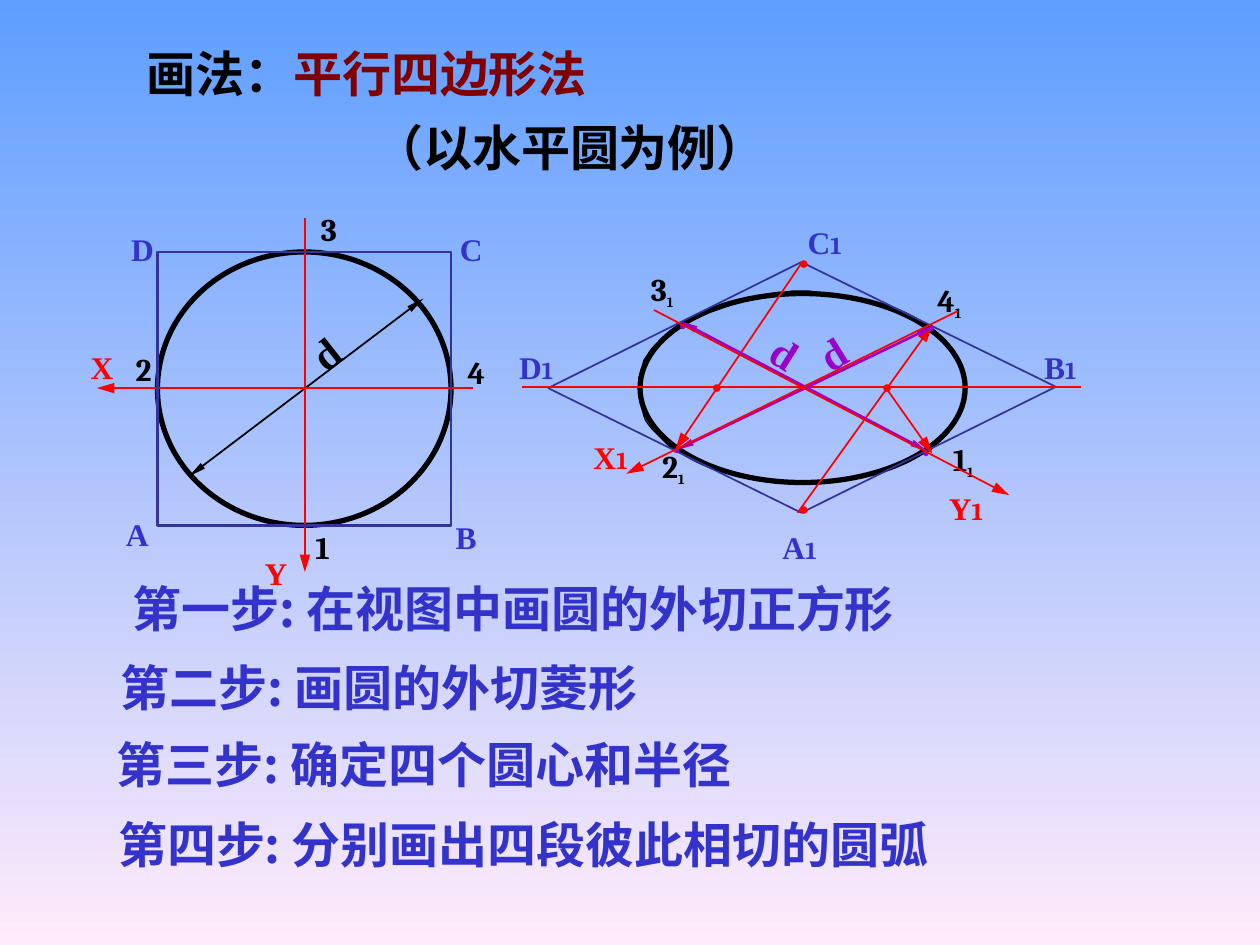
from lxml import etree
from pptx import Presentation
from pptx.dml.color import RGBColor
from pptx.enum.shapes import MSO_CONNECTOR, MSO_SHAPE
from pptx.enum.text import MSO_ANCHOR, MSO_AUTO_SIZE, PP_ALIGN
from pptx.oxml.ns import qn
from pptx.util import Pt

PX = 9144
STRAIGHT = MSO_CONNECTOR.STRAIGHT
OVAL, SQUARE = MSO_SHAPE.OVAL, MSO_SHAPE.RECTANGLE
TOP, MIDDLE = MSO_ANCHOR.TOP, MSO_ANCHOR.MIDDLE
LEFT, CENTER = PP_ALIGN.LEFT, PP_ALIGN.CENTER
GROW, FIXED = MSO_AUTO_SIZE.SHAPE_TO_FIT_TEXT, MSO_AUTO_SIZE.NONE

SKY = RGBColor(0x5E, 0x9E, 0xFF)
PINK = RGBColor(0xFF, 0xEB, 0xFA)
BLACK = RGBColor(0, 0, 0)
MAROON = RGBColor(0x80, 0, 0)
RED = RGBColor(0xFF, 0, 0)
PURPLE = RGBColor(0x99, 0, 0xCC)
NAVY = RGBColor(0x33, 0x33, 0x99)
BLUE = RGBColor(0x33, 0x33, 0xCC)
TIMES, CAMBRIA, CJK = "Times New Roman", "Cambria", "Noto Sans CJK SC"


def curve_points(start, segments, steps=8):
    """Return points along a chain of cubic Bézier segments."""
    points = [start]
    for a, b, end in segments:
        first = points[-1]
        for i in range(1, steps + 1):
            t = i / steps
            weights = ((1 - t) ** 3, 3 * t * (1 - t) ** 2, 3 * t * t * (1 - t), t ** 3)
            points.append(tuple(sum(w * p[axis] for w, p in zip(weights, (first, a, b, end)))
                                for axis in (0, 1)))
    return points


class Drawing:
    """Draws the styled elements of one slide, with 100 px to the inch."""

    def __init__(self, slide):
        self.slide = slide
        self.shapes = slide.shapes

    def background(self, top, bottom):
        fill = self.slide.background.fill
        fill.gradient()
        fill.gradient_angle = 270
        for stop, color, position in zip(fill.gradient_stops, (top, bottom), (0, 1)):
            stop.color.rgb = color
            stop.position = position

    def outline(self, shape, color, width):
        shape.shadow.inherit = False
        shape.fill.background()
        shape.line.color.rgb = color
        shape.line.width = Pt(width)

    def figure(self, preset, box, color, width):
        self.outline(self.shapes.add_shape(preset, *(n * PX for n in box)), color, width)

    def curve(self, start, segments, color, width):
        first, *rest = curve_points(start, segments)
        builder = self.shapes.build_freeform(*first, scale=PX)
        builder.add_line_segments(rest, close=False)
        self.outline(builder.convert_to_shape(), color, width)

    def line(self, start, end, color, width=1, ends=(), head_width="med"):
        line = self.shapes.add_connector(STRAIGHT, *(n * PX for n in start + end))
        line.line.color.rgb = color
        line.line.width = Pt(width)
        for tag in ends:
            etree.SubElement(line.line._get_or_add_ln(), qn(f"a:{tag}"),
                             type="triangle", w=head_width, len="lg")
        etree.SubElement(line._element.spPr, qn("a:effectLst"))

    def text(self, box, runs, align=CENTER, anchor=MIDDLE, wrap=False, size=GROW, rotation=0):
        label = self.shapes.add_textbox(*(n * PX for n in box))
        label.rotation = rotation
        frame = label.text_frame
        frame.word_wrap = wrap
        frame.auto_size = size
        frame.vertical_anchor = anchor
        paragraph = frame.paragraphs[0]
        paragraph.alignment = align
        for words, points, font, color, bold, baseline in runs:
            run = paragraph.add_run()
            run.text = words
            run.font.size = Pt(points)
            run.font.name = font
            run.font.bold = bold
            run.font.color.rgb = color
            properties = run._r.get_or_add_rPr()
            if baseline:
                properties.set("baseline", str(baseline))
            if points == 28:
                etree.SubElement(properties, qn("a:ea"), typeface=CJK)

    def heading(self, box, parts, font=TIMES, **options):
        self.text(box, [(words, 28, font, color, True, 0) for words, color in parts],
                  wrap=True, **options)

    def dot(self, box, points, color, bold=False):
        self.text(box, [("●", points, TIMES, color, bold, 0)])

    def diameter(self, box, color, rotation):
        self.text(box, [("d", 24, TIMES, color, True, 0)], rotation=rotation)

    def tangent_point(self, box, number, index=""):
        runs = [(number, 18, CAMBRIA, BLACK, True, 0)]
        if index:
            runs.append((index, 14, CAMBRIA, BLACK, True, -25000))
        self.text(box, runs)

    def letter(self, left, top, name, color, index="", width=38):
        runs = [(name, 18, TIMES, color, True, 0)]
        if index:
            runs.append((index, 14, CAMBRIA, color, True, 0))
            width = 49
        self.text((left, top, width, 40), runs, anchor=TOP)


def main():
    prs = Presentation()
    prs.slide_width, prs.slide_height = 1000 * PX, 750 * PX
    drawing = Drawing(prs.slides.add_slide(prs.slide_layouts[6]))
    drawing.background(SKY, PINK)

    drawing.figure(OVAL, (508, 233, 258, 150), BLACK, 3)
    arcs = [
        ((540, 257), [((548, 254), (574, 243), (590, 239)), ((606, 234), (618, 231), (635, 231)),
                      ((652, 231), (674, 236), (691, 240)), ((708, 245), (727, 255), (736, 258))]),
        ((536, 358), [((543, 361), (563, 371), (578, 375)), ((594, 379), (609, 382), (628, 382)),
                      ((646, 383), (671, 381), (689, 377)), ((707, 373), (727, 362), (737, 358))]),
        ((737, 358), [((741, 355), (753, 344), (757, 336)), ((762, 327), (765, 315), (765, 306)),
                      ((765, 297), (762, 290), (757, 282)), ((753, 274), (741, 264), (737, 260))]),
        ((536, 358), [((532, 354), (517, 342), (512, 333)), ((508, 324), (507, 313), (507, 304)),
                      ((508, 294), (511, 285), (517, 277)), ((523, 269), (537, 261), (542, 257))]),
    ]
    for start, segments in arcs:
        drawing.curve(start, segments, BLACK, 0.75)

    rhombus = [(838, 307), (636, 208), (435, 308), (636, 407)]
    for start, end in zip(rhombus, rhombus[1:] + rhombus[:1]):
        drawing.line(start, end, NAVY)
    drawing.line((414, 307), (858, 307), RED)
    for start, end in [((633, 407), (740, 258)), ((636, 209), (536, 357)), ((704, 309), (740, 360))]:
        drawing.line(start, end, RED, ends=["tailEnd"])

    for left, top, step in [(86, 517, "第二步: 画圆的外切菱形"),
                            (83, 578, "第三步: 确定四个圆心和半径"),
                            (84, 641, "第四步: 分别画出四段彼此相切的圆弧")]:
        drawing.heading((left, top, 800, 57), [(step, BLUE)], CJK, align=LEFT)

    for left, top in [(617, 390), (548, 293), (617, 195), (683, 293)]:
        drawing.dot((left, top, 42, 27), 10, RED)
    for left, top, number in [(97, 273, "2"), (361, 275, "4"), (244, 162, "3"), (239, 414, "1")]:
        drawing.tangent_point((left, top, 34, 40), number)

    both = ["headEnd", "tailEnd"]
    drawing.line((150, 378), (336, 237), BLACK, 1, both, "sm")
    drawing.diameter((239, 255, 38, 50), BLACK, 321.8)
    drawing.line((537, 357), (741, 259), PURPLE, 1.5, both, "sm")
    drawing.diameter((641, 255, 39, 50), PURPLE, 328.3)
    drawing.line((540, 255), (736, 358), PURPLE, 1.5, both, "sm")
    drawing.diameter((604, 255, 38, 50), PURPLE, 32.2)

    for left, top, number in [(744, 344, "1"), (505, 209, "3"), (733, 218, "4"), (514, 350, "2")]:
        drawing.tangent_point((left, top, 41, 42), number, "1")
    for left, top in [(529, 247), (722, 348), (524, 346), (726, 249)]:
        drawing.dot((left, top, 26, 22), 7, PURPLE, True)

    drawing.heading((35, 23, 512, 69), [("画法：", BLACK), ("平行四边形法", MAROON)], size=FIXED)
    drawing.heading((24, 454, 767, 57), [("第一步: 在视图中画圆的外切正方形", BLUE)], CJK, anchor=TOP)
    drawing.figure(OVAL, (125, 200, 233, 217), BLACK, 3)
    drawing.heading((271, 88, 363, 57), [("（以水平圆为例）", BLACK)])

    axes = [((375, 308), (77, 308), (62, 271), "X", ""),
            ((242, 173), (242, 454), (200, 435), "Y", ""),
            ((519, 246), (801, 393), (742, 383), "Y", "1"),
            ((760, 247), (497, 376), (460, 343), "X", "1")]
    for start, end, (left, top), name, index in axes:
        drawing.line(start, end, RED, ends=["tailEnd"])
        drawing.letter(left, top, name, RED, index)

    drawing.figure(SQUARE, (125, 200, 233, 217), NAVY, 1.5)
    corners = [(90, 404, "A", ""), (351, 406, "B", ""), (355, 178, "C", ""), (94, 178, "D", ""),
               (610, 414, "A", "1"), (817, 271, "B", "1"), (630, 172, "C", "1"), (401, 271, "D", "1")]
    for left, top, name, index in corners:
        drawing.letter(left, top, name, BLUE, index)

    prs.save("out.pptx")


if __name__ == "__main__":
    main()
